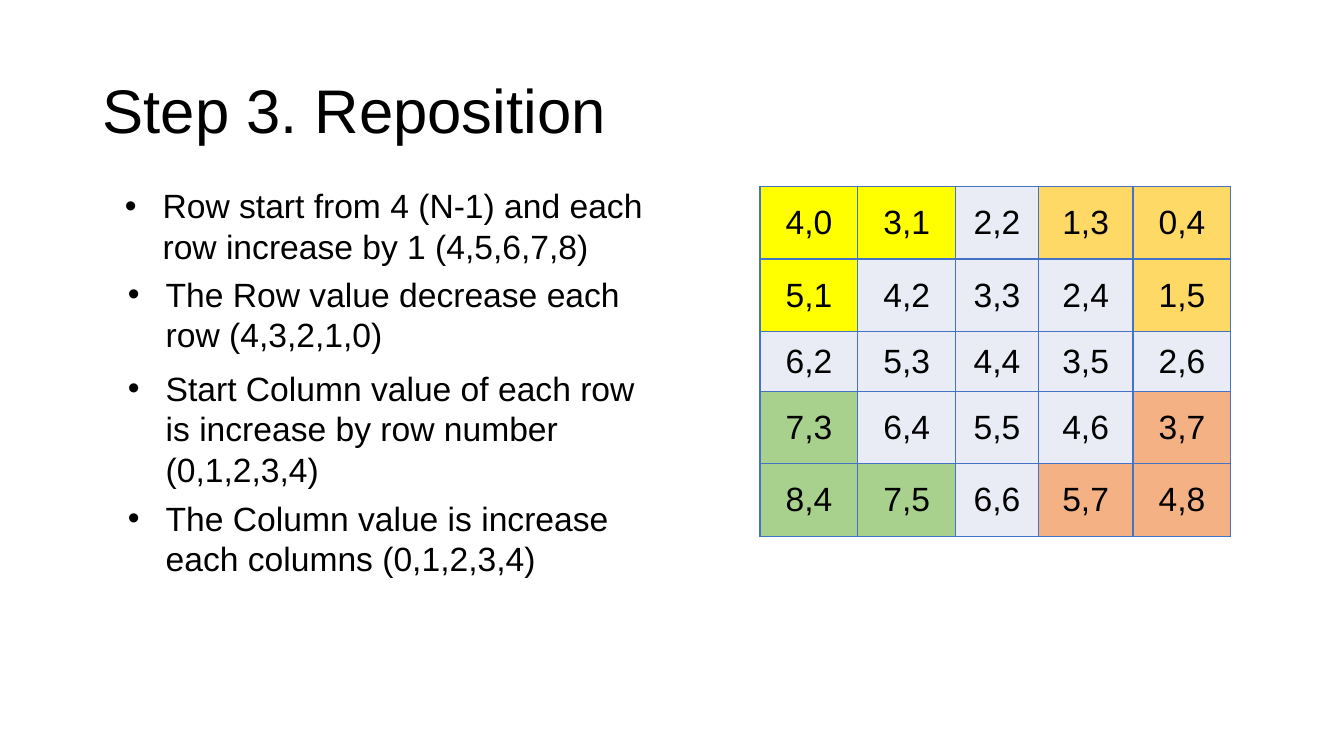
import pptx
import pptx.util
import pptx.dml.color
import pptx.enum.text
import pptx.oxml
import pptx.oxml.ns

TITLE = "Step 3. Reposition"
TITLE_AREA = (6.9, 5.33, 86.25, 19.33)

RULES = [
    (8.55, 23.87, 12, "Row start from 4 (N-1) and each row increase by 1 (4,5,6,7,8)"),
    (8.78, 35.6, 12, "The Row value decrease each row (4,3,2,1,0)"),
    (8.78, 48, 17.33, "Start Column value of each row is increase by row number (0,1,2,3,4)"),
    (8.78, 65.2, 12, "The Column value is increase each columns (0,1,2,3,4)"),
]
RULE_WIDTH = 41.25
RULE_INDENT = 2.81

CORNERS = ["YY.OO", "Y...O", ".....", "G...R", "GG.RR"]
CORNER_COLOURS = {"Y": "FFFF00", "O": "FFD966", "G": "A9D18E", "R": "F4B183", ".": "E9EBF5"}
GRID_ORIGIN = (56.55, 24.67)
COLUMN_WIDTHS = [7.28, 7.28, 6.15, 7.05, 7.28]
ROW_HEIGHTS = [9.6, 9.6, 7.87, 9.6, 9.6]
GRID_LINE = "4472C4"

presentation = pptx.Presentation()
presentation.slide_width = pptx.util.Inches(13.33)
presentation.slide_height = pptx.util.Inches(7.5)
slide = presentation.slides.add_slide(presentation.slide_layouts[6])


def across(percent):
    return round(presentation.slide_width * percent / 100)


def down(percent):
    return round(presentation.slide_height * percent / 100)


def colour(code):
    return pptx.dml.color.RGBColor.from_string(code)


def write(frame, text, size=24, align=None, spacing=None, bullet=False):
    frame.word_wrap = True
    paragraph = frame.paragraphs[0]
    paragraph.alignment = align
    paragraph.line_spacing = spacing
    run = paragraph.add_run()
    run.text = text
    run.font.size = pptx.util.Pt(size)
    run.font.name = "Arial"
    run.font.color.rgb = colour("000000")
    if bullet:
        properties = paragraph._p.get_or_add_pPr()
        indent = across(RULE_INDENT)
        properties.set("marL", str(indent))
        properties.set("indent", str(-indent))
        namespace = pptx.oxml.ns.nsdecls("a")
        properties.append(pptx.oxml.parse_xml(f'<a:buFont {namespace} typeface="Arial"/>'))
        properties.append(pptx.oxml.parse_xml(f'<a:buChar {namespace} char="•"/>'))


def add_text(left, top, width, height, text, **style):
    box = slide.shapes.add_textbox(across(left), down(top), across(width), down(height))
    write(box.text_frame, text, **style)
    return box.text_frame


def outline(cell):
    properties = cell._tc.get_or_add_tcPr()
    for side in "LRTB":
        properties.append(pptx.oxml.parse_xml(
            f'<a:ln{side} {pptx.oxml.ns.nsdecls("a")} w="{pptx.util.Pt(1)}">'
            f'<a:solidFill><a:srgbClr val="{GRID_LINE}"/></a:solidFill></a:ln{side}>'))


heading = add_text(*TITLE_AREA, TITLE, size=44, spacing=0.9)
heading.vertical_anchor = pptx.enum.text.MSO_ANCHOR.MIDDLE

size = len(CORNERS)
grid = slide.shapes.add_table(
    size, size, across(GRID_ORIGIN[0]), down(GRID_ORIGIN[1]),
    across(sum(COLUMN_WIDTHS)), down(sum(ROW_HEIGHTS))).table
grid.first_row = False
grid.horz_banding = False
for column, width in zip(grid.columns, COLUMN_WIDTHS):
    column.width = across(width)
for row, height in zip(grid.rows, ROW_HEIGHTS):
    row.height = down(height)

for r, corner_row in enumerate(CORNERS):
    for c, corner in enumerate(corner_row):
        cell = grid.cell(r, c)
        write(cell.text_frame, f"{size - 1 + r - c},{r + c}",
              align=pptx.enum.text.PP_ALIGN.CENTER)
        cell.vertical_anchor = pptx.enum.text.MSO_ANCHOR.MIDDLE
        outline(cell)
        cell.fill.solid()
        cell.fill.fore_color.rgb = colour(CORNER_COLOURS[corner])

for left, top, height, rule in RULES:
    frame = add_text(left, top, RULE_WIDTH, height, rule, bullet=True)
    frame.auto_size = pptx.enum.text.MSO_AUTO_SIZE.SHAPE_TO_FIT_TEXT

presentation.save("out.pptx")
